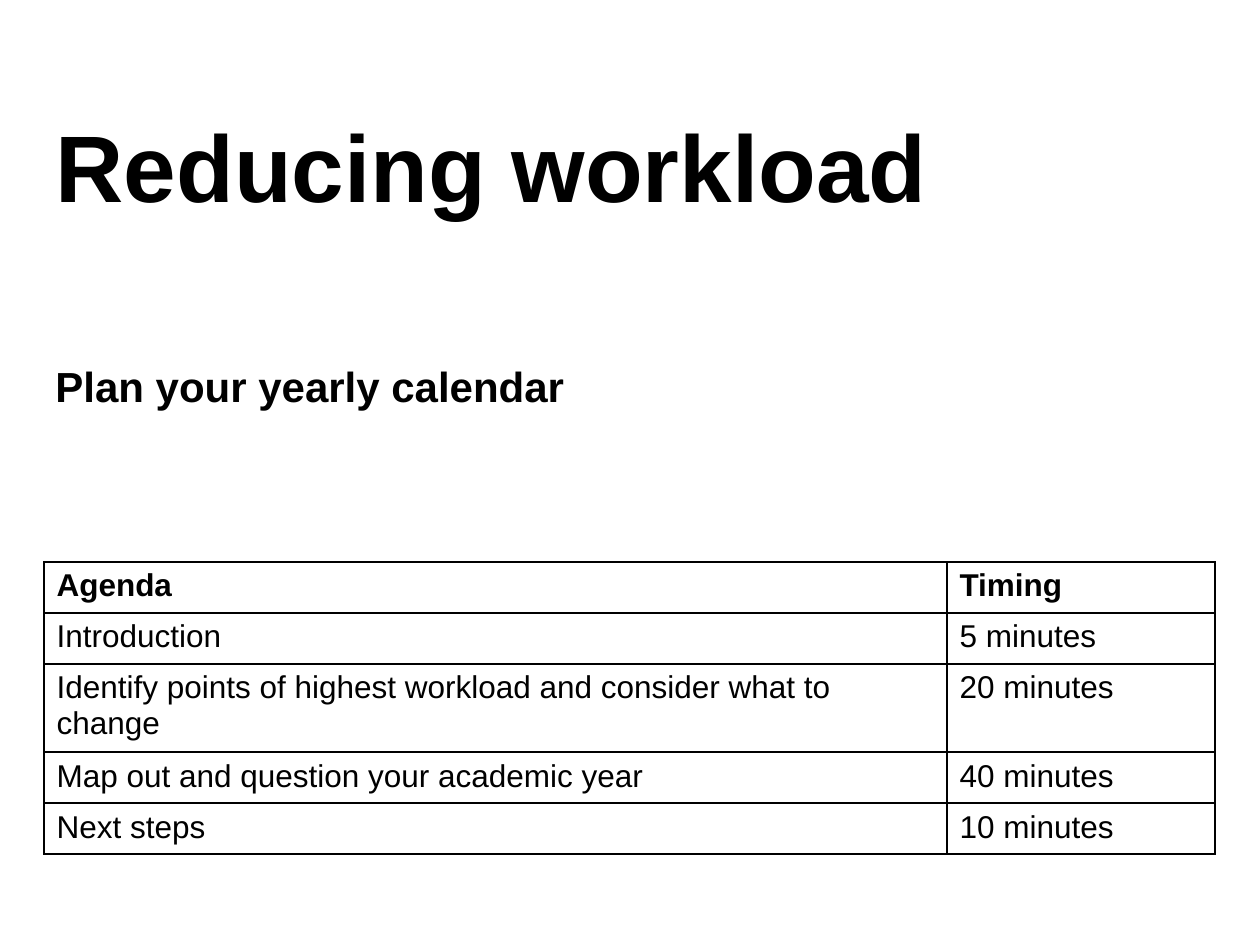
from lxml import etree
from pptx import Presentation
from pptx.dml.color import RGBColor
from pptx.enum.text import MSO_ANCHOR, MSO_AUTO_SIZE, PP_ALIGN
from pptx.oxml.ns import qn
from pptx.util import Pt

LEFT = PP_ALIGN.LEFT
MIDDLE = MSO_ANCHOR.MIDDLE
NONE = MSO_AUTO_SIZE.NONE
GROW = MSO_AUTO_SIZE.SHAPE_TO_FIT_TEXT
PX = 914400 // 126
BLACK = "000000"
WHITE = "FFFFFF"


def color(text):
    return RGBColor.from_string(text)


def write(frame, text, size, bold):
    frame.text = text
    frame.word_wrap = True
    para = frame.paragraphs[0]
    para.alignment = LEFT
    font = para.font
    font.name = "Arial"
    font.size = Pt(size)
    font.bold = bold
    font.color.rgb = color(BLACK)


deck = Presentation()
deck.slide_width = 1260 * PX
deck.slide_height = 945 * PX
slide = deck.slides.add_slide(deck.slide_layouts[5])
slide.background.fill.solid()
slide.background.fill.fore_color.rgb = color(WHITE)

title = slide.shapes.title
title.left, title.top = 43 * PX, 66 * PX
title.width, title.height = 1134 * PX, 198 * PX
write(title.text_frame, "Reducing workload", 54, True)
title.text_frame.vertical_anchor = MIDDLE
title.text_frame.auto_size = NONE

topic = slide.shapes.add_textbox(43 * PX, 354 * PX, 1171 * PX, 63 * PX)
write(topic.text_frame, "Plan your yearly calendar", 24, True)
topic.text_frame.auto_size = GROW

agenda = [
    ("Agenda", "Timing"),
    ("Introduction", "5 minutes"),
    ("Identify points of highest workload and consider what to change", "20 minutes"),
    ("Map out and question your academic year", "40 minutes"),
    ("Next steps", "10 minutes"),
]
widths = [903, 268]
row_high = 51
table = slide.shapes.add_table(
    len(agenda), len(widths), 44 * PX, 562 * PX,
    sum(widths) * PX, len(agenda) * row_high * PX).table

for col, width in zip(table.columns, widths):
    col.width = width * PX

for r, row in enumerate(agenda):
    table.rows[r].height = row_high * PX
    for c, text in enumerate(row):
        cell = table.cell(r, c)
        write(cell.text_frame, text, 18, r == 0)
        props = cell._tc.get_or_add_tcPr()
        for side in ("lnL", "lnR", "lnT", "lnB"):
            line = etree.SubElement(props, qn("a:" + side), w=str(Pt(1)))
            fill = etree.SubElement(line, qn("a:solidFill"))
            etree.SubElement(fill, qn("a:srgbClr"), val=BLACK)
        cell.fill.solid()
        cell.fill.fore_color.rgb = color(WHITE)

deck.save("out.pptx")
